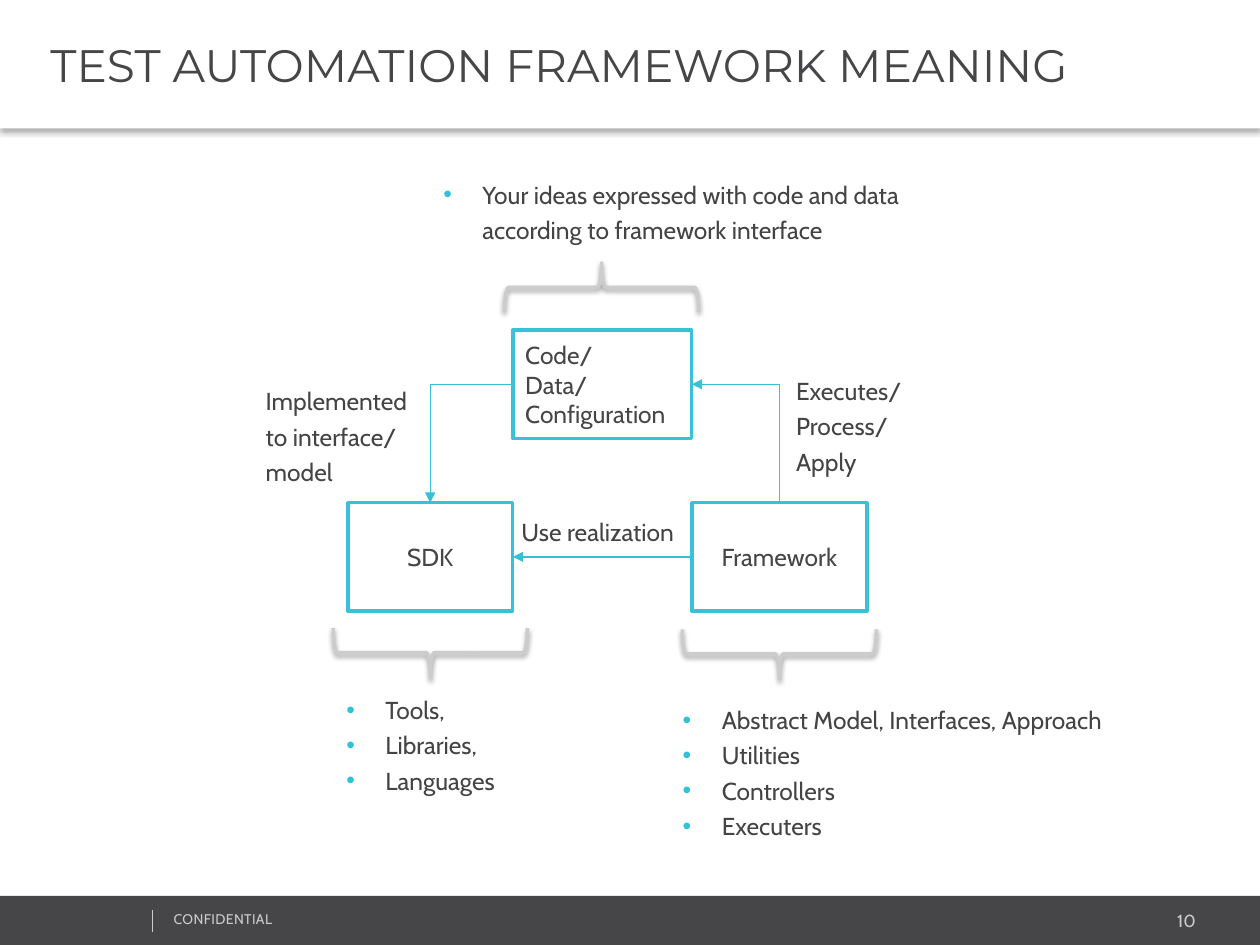
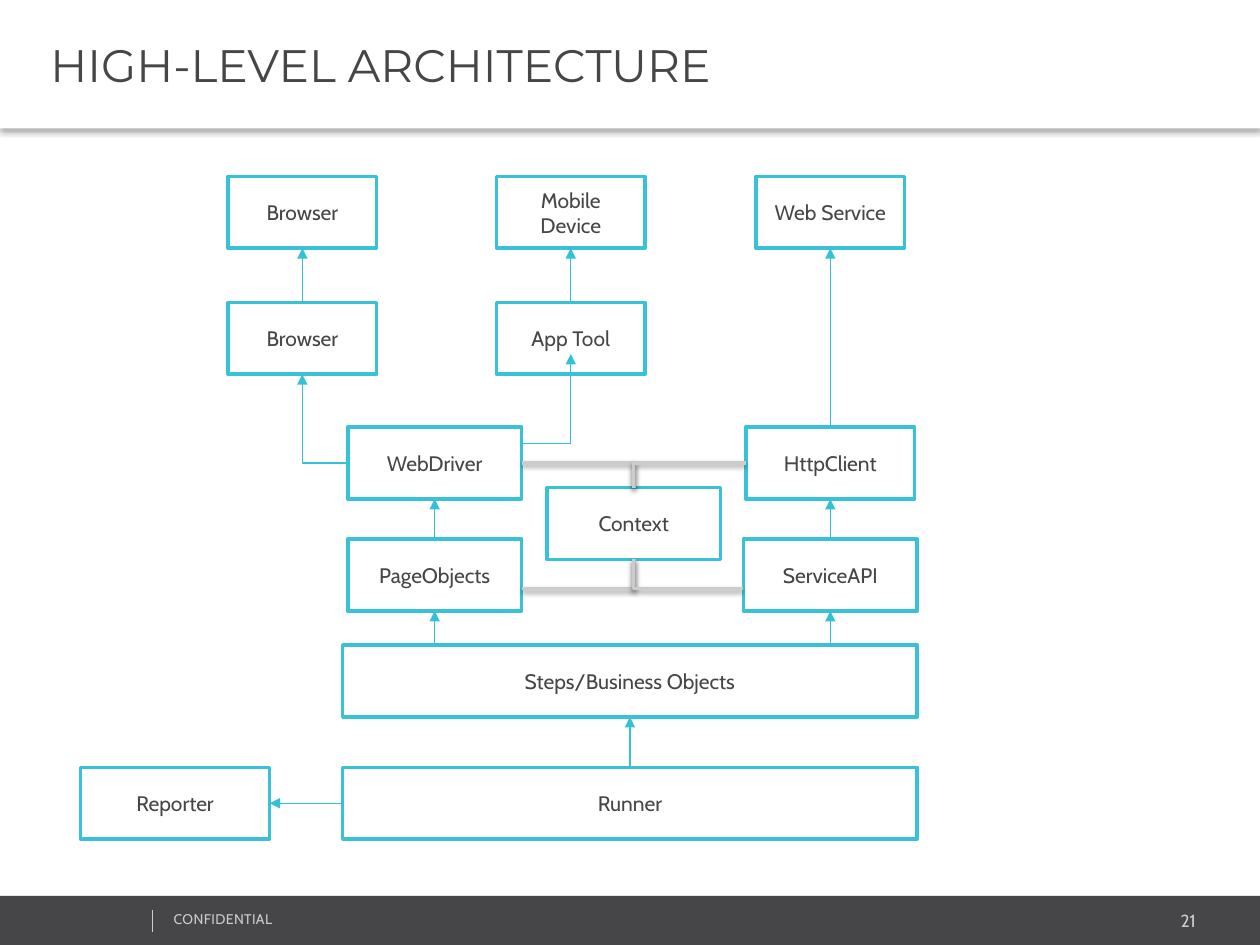
from lxml import etree
from pptx import Presentation
from pptx.dml.color import RGBColor
from pptx.enum import shapes, text
from pptx.oxml.ns import qn
from pptx.util import Inches, Pt

COLORS = {
    "dark": "464547", "body": "444444", "light": "CCCCCC", "white": "FFFFFF",
    "border": "39C2D7", "arrow": "34C1D6", "bullet": "2FC2D9", "black": "000000",
}
BODY_FONT, TITLE_FONT = "Cabin", "Montserrat"
TOP, LEFT, BOTTOM, RIGHT = range(4)  # connection sites of a rectangle
BOX_HEIGHT = 0.57


def color(name):
    return RGBColor.from_string(COLORS[name])


def add_bullet(paragraph):
    props = paragraph._p.get_or_add_pPr()
    props.set("marL", str(Inches(0.31)))
    props.set("indent", str(-Inches(0.31)))
    tint = etree.SubElement(props, qn("a:buClr"))
    etree.SubElement(tint, qn("a:srgbClr"), val=COLORS["bullet"])
    etree.SubElement(props, qn("a:buFont"), typeface="Arial")
    etree.SubElement(props, qn("a:buChar"), char="•")


def write(frame, lines, size=14, tint="body", font=BODY_FONT, align="LEFT",
          anchor="TOP", spacing=None, bullets=False, tracking=None):
    """Fill a text frame with one paragraph for each line."""
    frame.word_wrap = True
    frame.auto_size = text.MSO_AUTO_SIZE.NONE
    frame.vertical_anchor = getattr(text.MSO_ANCHOR, anchor)
    for number, line in enumerate(lines):
        paragraph = frame.add_paragraph() if number else frame.paragraphs[0]
        paragraph.alignment = getattr(text.PP_ALIGN, align)
        if spacing:
            paragraph.line_spacing = spacing
        if bullets:
            add_bullet(paragraph)
        run = paragraph.add_run()
        run.text = line
        run.font.name, run.font.size = font, Pt(size)
        run.font.color.rgb = color(tint)
        if tracking:
            run.font._element.set("spc", str(round(tracking * 100)))


def add_text(slide, at, *lines, **style):
    label = slide.shapes.add_textbox(*map(Inches, at))
    write(label.text_frame, lines, **style)


def add_note(slide, at, *lines, bullets=False):
    add_text(slide, at, *lines, spacing=1.2, bullets=bullets)


def cast_shadow(effects, opacity, distance):
    shadow = etree.SubElement(
        effects, qn("a:outerShdw"), blurRad=str(Pt(3.1)), dist=str(Pt(distance)),
        dir="5400000", algn="t", rotWithShape="0")
    black = etree.SubElement(shadow, qn("a:srgbClr"), val=COLORS["black"])
    etree.SubElement(black, qn("a:alpha"), val=str(opacity * 1000))


def add_shape(slide, kind, at, fill=None, line=None, width=2):
    shape = slide.shapes.add_shape(kind, *map(Inches, at))
    if fill:
        shape.fill.solid()
        shape.fill.fore_color.rgb = color(fill)
    else:
        shape.fill.background()
    if line:
        shape.line.color.rgb = color(line)
        shape.line.width = Pt(width)
    else:
        shape.line.fill.background()
    shape.shadow.inherit = False
    return shape


def add_box(slide, at, *lines, size=12, align="CENTER"):
    box = add_shape(slide, shapes.MSO_SHAPE.RECTANGLE, at, "white", "border")
    write(box.text_frame, lines, size=size, tint="dark", align=align, anchor="MIDDLE")
    return box


def add_brace(slide, left, top, rotation):
    """Add a horizontal brace; left and top are those of its upright frame."""
    brace = add_shape(slide, shapes.MSO_SHAPE.RIGHT_BRACE, (left, top, 0.39, 1.54),
                      line="light")
    brace.rotation = rotation
    cast_shadow(brace.element.spPr.find(qn("a:effectLst")), 38, 1.6)


def locate(end):
    """Turn an (x, y) point in inches or a (box, site) pair into a position."""
    box, site = end
    if isinstance(box, (int, float)):
        return Inches(box), Inches(site)
    x = box.left + {LEFT: 0, RIGHT: box.width}.get(site, box.width // 2)
    y = box.top + {TOP: 0, BOTTOM: box.height}.get(site, box.height // 2)
    return x, y


def add_link(slide, start, end, bent=False, tint="arrow", width=0.75,
             arrow="tailEnd", shadow=False):
    """Link two ends; a bent link leaves its start horizontally."""
    kind = shapes.MSO_CONNECTOR.ELBOW if bent else shapes.MSO_CONNECTOR.STRAIGHT
    link = slide.shapes.add_connector(kind, *locate(start), *locate(end))
    for (box, site), glue in ((start, link.begin_connect), (end, link.end_connect)):
        if not isinstance(box, (int, float)):
            glue(box, site)
    link.line.color.rgb = color(tint)
    link.line.width = Pt(width)
    props = link.element.spPr
    if bent:
        props.find(qn("a:prstGeom")).set("prst", "bentConnector2")
    if arrow:
        etree.SubElement(props.find(qn("a:ln")), qn(f"a:{arrow}"), type="triangle")
    effects = etree.SubElement(props, qn("a:effectLst"))
    if shadow:
        cast_shadow(effects, 38, 1.6)


def add_slide(deck, heading, number):
    """Add a slide with the shared title band and footer."""
    slide = deck.slides.add_slide(deck.slide_layouts[5])
    add_shape(slide, shapes.MSO_SHAPE.RECTANGLE, (0, 7.11, 10, 0.4), "dark")
    add_text(slide, (7.96, 7.17, 1.63, 0.27), number, size=10, tint="light",
             align="RIGHT")
    add_text(slide, (1.28, 7.18, 2.53, 0.24), "CONFIDENTIAL", size=8, tint="light",
             tracking=0.2)
    add_link(slide, (1.21, 7.22), (1.21, 7.4), tint="light", width=0.25, arrow=None)

    title = slide.shapes.title
    title.left, title.top, title.width, title.height = map(Inches, (0, 0, 10, 1.02))
    title.fill.solid()
    title.fill.fore_color.rgb = color("white")
    cast_shadow(etree.SubElement(title.element.spPr, qn("a:effectLst")), 30, 2)
    title.text_frame.margin_left = Inches(0.4)
    write(title.text_frame, [heading], size=26, tint="dark", font=TITLE_FONT,
          anchor="MIDDLE")
    return slide


def build_meaning(deck):
    slide = add_slide(deck, "TEST AUTOMATION FRAMEWORK MEANING", "10")
    framework = add_box(slide, (5.49, 3.99, 1.39, 0.86), "Framework", size=14)
    code = add_box(slide, (4.07, 2.62, 1.42, 0.86), "Code/", "Data/", "Configuration",
                   size=14, align="LEFT")
    sdk = add_box(slide, (2.76, 3.99, 1.31, 0.86), "SDK", size=14)

    add_link(slide, (code, RIGHT), (framework, TOP), bent=True, arrow="headEnd")
    add_link(slide, (code, LEFT), (sdk, TOP), bent=True)
    add_link(slide, (framework, LEFT), (sdk, RIGHT))

    for left, top, rotation in ((3.22, 4.41, 90), (5.99, 4.42, 90), (4.58, 1.51, 270)):
        add_brace(slide, left, top, rotation)

    add_note(slide, (6.22, 2.89, 1.46, 0.95), "Executes/", "Process/", "Apply")
    add_note(slide, (2.01, 2.97, 1.38, 0.95), "Implemented to interface/", "model")
    add_note(slide, (4.04, 4.01, 1.92, 0.38), "Use realization")
    add_note(slide, (2.65, 5.42, 1.54, 0.95), "Tools,", "Libraries,", "Languages",
             bullets=True)
    add_note(slide, (5.32, 5.5, 3.81, 1.23), "Abstract Model, Interfaces, Approach",
             "Utilities", "Controllers", "Executers", bullets=True)
    add_note(slide, (3.42, 1.33, 4.4, 0.95),
             "Your ideas expressed with code and data according to framework interface",
             bullets=True)


def build_architecture(deck):
    slide = add_slide(deck, "HIGH-LEVEL ARCHITECTURE", "21")

    def block(label, left, top, width=1.38):
        return add_box(slide, (left, top, width, BOX_HEIGHT), label)

    browser = block("Browser", 1.81, 1.4, 1.18)
    device = block("Mobile Device", 3.94, 1.4, 1.18)
    service = block("Web Service", 6, 1.4, 1.18)
    browser_driver = block("Browser", 1.81, 2.4, 1.18)
    mobile_driver = block("App Tool", 3.94, 2.4, 1.18)
    web_driver = block("WebDriver", 2.76, 3.39)
    http_client = block("HttpClient", 5.92, 3.39, 1.34)
    page_objects = block("PageObjects", 2.76, 4.28)
    service_api = block("ServiceAPI", 5.9, 4.28)
    steps = block("Steps/Business Objects", 2.72, 5.12, 4.56)
    runner = block("Runner", 2.72, 6.09, 4.56)
    context = block("Context", 4.34, 3.87)
    reporter = block("Reporter", 0.64, 6.09, 1.5)

    for lower, upper in ((browser_driver, browser), (mobile_driver, device),
                         (http_client, service), (page_objects, web_driver),
                         (service_api, http_client), (runner, steps)):
        add_link(slide, (lower, TOP), (upper, BOTTOM))
    for x, upper in ((3.45, page_objects), (6.59, service_api)):
        add_link(slide, (x, 5.12), (upper, BOTTOM))
    add_link(slide, (runner, LEFT), (reporter, RIGHT))
    add_link(slide, (web_driver, LEFT), (browser_driver, BOTTOM), bent=True)
    add_link(slide, (4.14, 3.52), (4.53, 2.81), bent=True)

    for start, site in (((web_driver, RIGHT), TOP), ((http_client, LEFT), TOP),
                        ((4.14, 4.67), BOTTOM), ((5.9, 4.67), BOTTOM)):
        add_link(slide, start, (context, site), bent=True, tint="light", width=2,
                 arrow=None, shadow=True)


def main():
    deck = Presentation()
    deck.slide_width, deck.slide_height = Inches(10), Inches(7.5)
    build_meaning(deck)
    build_architecture(deck)
    deck.save("out.pptx")


if __name__ == "__main__":
    main()
